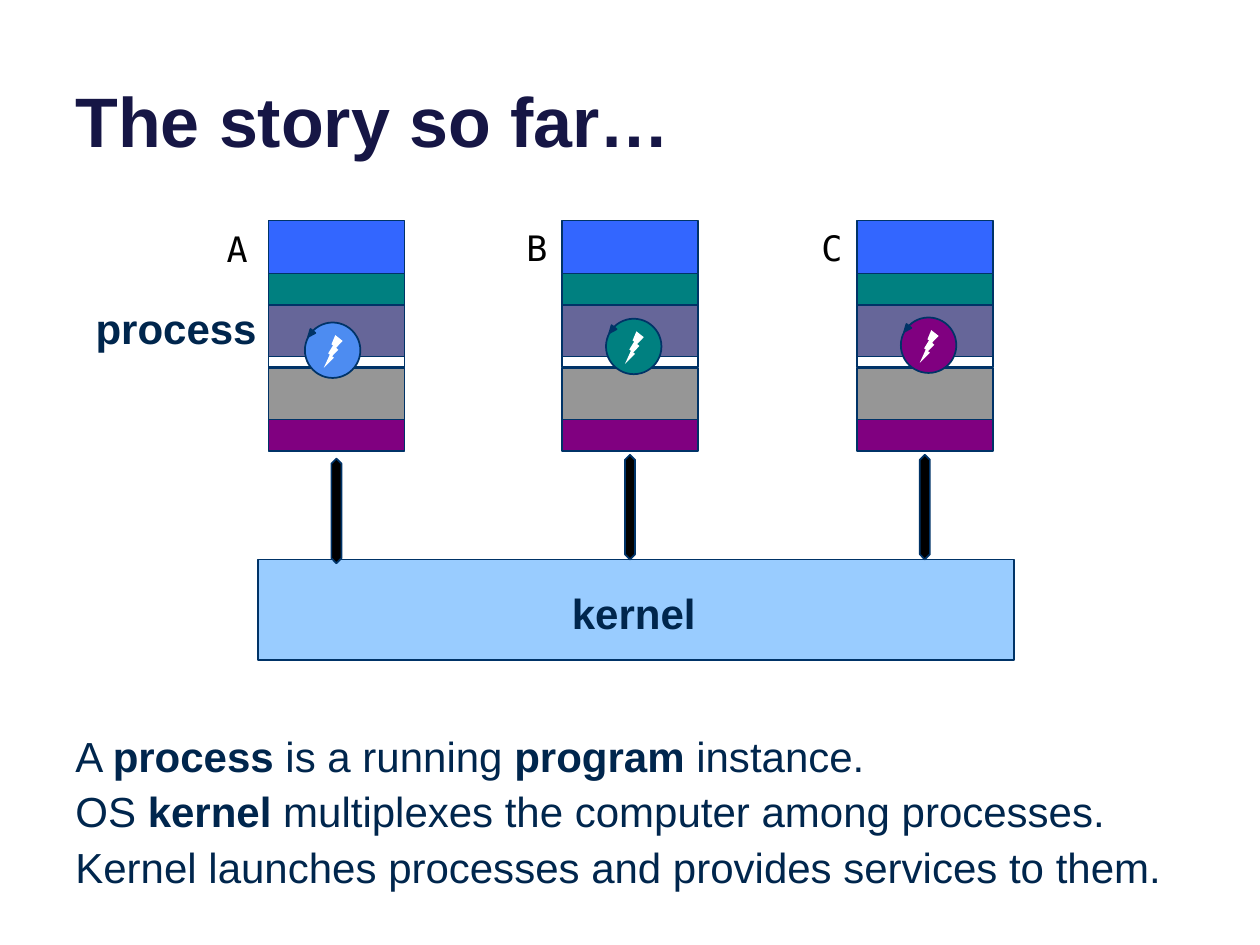
import pptx
import pptx.dml.color
import pptx.enum.shapes
import pptx.enum.text
import pptx.util

PX = 9144  # 100 px to the inch
SHAPE = pptx.enum.shapes.MSO_SHAPE
COLORS = {
    "outline": "003367", "title": "161645", "text": "00264D",
    "black": "000000", "white": "FFFFFF", "kernel": "99CCFF",
    "blue": "3366FF", "teal": "008080", "slate": "666699",
    "gray": "969696", "purple": "800080", "sky": "4D8CF1",
}
SEGMENTS = [("blue", 42), ("teal", 25), ("slate", 42),
            ("white", 8), ("gray", 42), ("purple", 25)]
SEGMENT_TOPS = [0, 42, 67, 108, 117, 158]
PROCESS_WIDTH = 108

# name, left, label left, label top, thread left, thread top, thread color, arrow top
PROCESSES = [
    ("A", 213, 170, 176, 242, 256, "sky", 364),
    ("B", 446, 408, 175, 481, 253, "teal", 361),
    ("C", 680, 642, 175, 715, 252, "purple", 361),
]
STATEMENTS = [
    [("A ", False), ("process", True), (" is a running ", False),
     ("program", True), (" instance.", False)],
    [("OS ", False), ("kernel", True),
     (" multiplexes the computer among processes.", False)],
    [("Kernel launches processes and provides services to them.", False)],
]


def rgb(name):
    return pptx.dml.color.RGBColor.from_string(COLORS[name])


def add_shape(shapes, preset, box, fill, outlined=True):
    shape = shapes.add_shape(preset, *(length * PX for length in box))
    shape.shadow.inherit = False
    shape.fill.solid()
    shape.fill.fore_color.rgb = rgb(fill)
    if outlined:
        shape.line.color.rgb = rgb("outline")
        shape.line.width = pptx.util.Pt(1)
    else:
        shape.line.fill.background()
    return shape


def add_text(slide, box, paragraphs, size, color, font="Arial", wrap=False):
    """Add a text box; each paragraph is a list of (text, bold) runs."""
    shape = slide.shapes.add_textbox(*(length * PX for length in box))
    frame = shape.text_frame
    frame.word_wrap = wrap
    for index, runs in enumerate(paragraphs):
        paragraph = frame.add_paragraph() if index else frame.paragraphs[0]
        for text, bold in runs:
            run = paragraph.add_run()
            run.text = text
            run.font.name = font
            run.font.size = pptx.util.Pt(size)
            run.font.bold = bold
            run.font.color.rgb = rgb(color)
    return frame


def add_title(slide, box):
    frame = add_text(slide, box, [[("The story so far…", True)]], 40, "title", wrap=True)
    frame.vertical_anchor = pptx.enum.text.MSO_ANCHOR.BOTTOM


def add_memory(slide, left, top):
    """Stack the memory segments of one process."""
    for (color, height), offset in zip(SEGMENTS, SEGMENT_TOPS):
        add_shape(slide.shapes, SHAPE.FLOWCHART_PROCESS,
                  (left, top + offset, PROCESS_WIDTH, height), color)


def add_thread(slide, left, top, color):
    """Group a disc, a lightning bolt and the arrowhead on the disc's rim."""
    shapes = slide.shapes.add_group_shape().shapes
    add_shape(shapes, SHAPE.OVAL, (left, top, 44, 44), color)
    bolt = add_shape(shapes, SHAPE.LIGHTNING_BOLT,
                     (left + 15, top + 10, 15, 26), "white", outlined=False)
    bolt._element.spPr.xfrm.set("flipH", "1")
    head = add_shape(shapes, SHAPE.ISOSCELES_TRIANGLE,
                     (left + 2, top + 6, 5, 6), "outline")
    head.rotation = 219


def add_system_call_arrow(slide, left, top):
    arrow = add_shape(slide.shapes, SHAPE.UP_DOWN_ARROW, (left, top, 8, 83), "black")
    arrow.adjustments[0] = 0.5
    arrow.adjustments[1] = 2


def add_kernel(slide, left, top):
    add_shape(slide.shapes, SHAPE.FLOWCHART_PROCESS, (left, top, 600, 80), "kernel")
    add_text(slide, (left + 239, top + 17, 119, 50), [[("kernel", True)]], 24, "text")


def add_processes(slide, top):
    for name, left, label_left, label_top, thread_left, thread_top, color, arrow_top in PROCESSES:
        add_memory(slide, left, top)
        add_thread(slide, thread_left, thread_top, color)
        add_system_call_arrow(slide, left + 50, arrow_top)
        add_text(slide, (label_left, label_top, 37, 44), [[(name, False)]],
                 20, "black", font="DejaVu Sans Mono")
    add_text(slide, (66, top + 60, 149, 50), [[("process", True)]], 24, "text")


def add_statements(slide, box):
    frame = add_text(slide, box, STATEMENTS, 24, "text", wrap=True)
    for index, paragraph in enumerate(frame.paragraphs):
        paragraph.line_spacing = pptx.util.Pt(22.8)
        if index:
            paragraph.space_before = pptx.util.Pt(9)


def main():
    presentation = pptx.Presentation()
    presentation.slide_width = 1000 * PX
    presentation.slide_height = 750 * PX
    slide = presentation.slides.add_slide(presentation.slide_layouts[6])
    add_kernel(slide, 205, 444)
    add_processes(slide, 175)
    add_title(slide, (50, -37, 900, 170))
    add_statements(slide, (50, 583, 925, 132))
    presentation.save("out.pptx")


if __name__ == "__main__":
    main()
